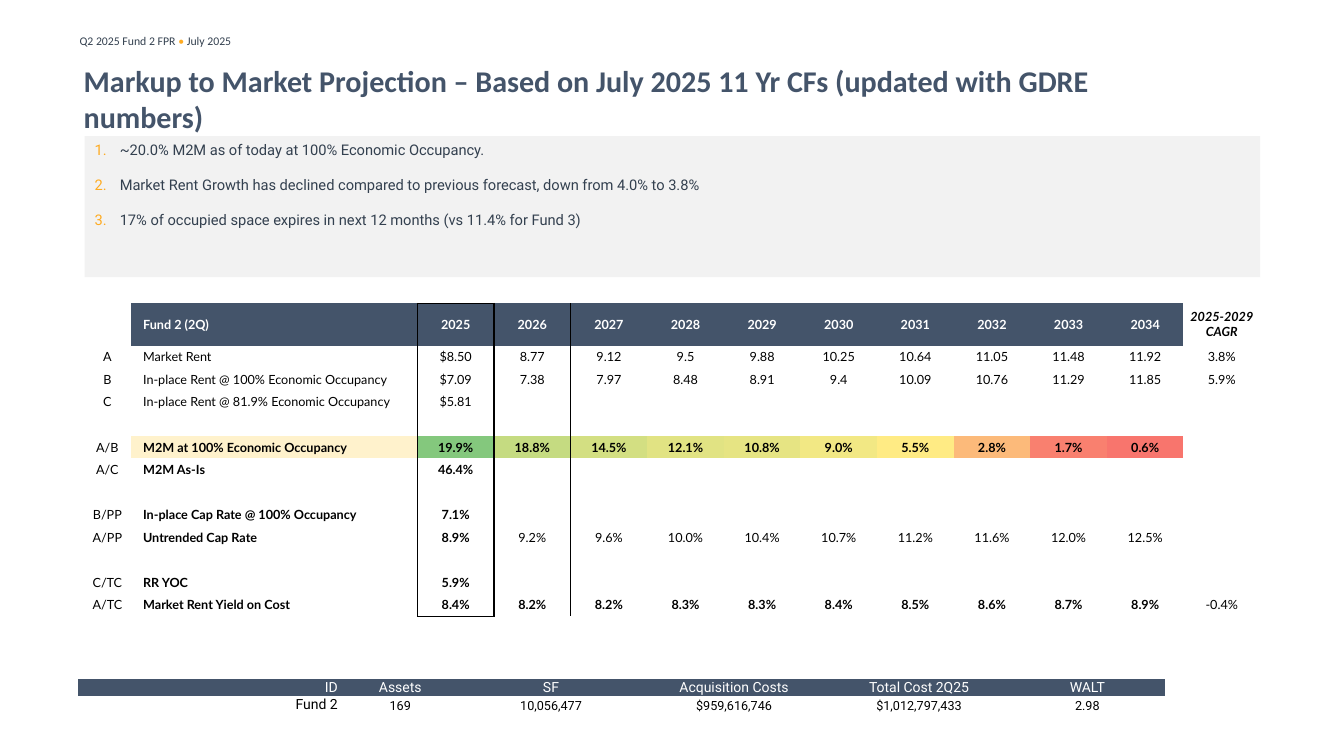
"""Build the Fund 2 markup to market projection slide."""
from dataclasses import dataclass

from lxml import etree
from pptx import Presentation
from pptx.dml.color import RGBColor
from pptx.enum.shapes import MSO_SHAPE
from pptx.enum.text import MSO_ANCHOR, PP_ALIGN
from pptx.oxml.ns import qn
from pptx.util import Inches, Pt

COLORS = {
    "navy": "44546A", "slate": "33404F", "orange": "FFAB21", "number": "FEAB21",
    "panel": "F2F2F2", "cream": "FFF2CC", "white": "FFFFFF", "black": "000000",
}
HEAT = ["84C87D", "C5DB81", "D3DF82", "E1E383", "E6E483",
        "F2E884", "FFEB84", "FCBA7A", "F9806F", "F8756D"]
NO_STYLE = "{2D5ABB26-0587-4C30-8999-92F81FD0307C}"
YEAR_COL = 2


@dataclass
class Style:
    font: str
    size: float
    color: str = "black"
    bold: bool = False
    italic: bool = False
    align: PP_ALIGN = PP_ALIGN.CENTER
    anchor: MSO_ANCHOR = MSO_ANCHOR.MIDDLE


@dataclass
class Row:
    key: str = ""
    label: str = ""
    values: str = ""
    cagr: str = ""
    bold: bool = False
    later_bold: bool = False


ROWS = [
    Row("A", "Market Rent", "$8.50 8.77 9.12 9.5 9.88 10.25 10.64 11.05 11.48 11.92", "3.8%"),
    Row("B", "In-place Rent @ 100% Economic Occupancy",
        "$7.09 7.38 7.97 8.48 8.91 9.4 10.09 10.76 11.29 11.85", "5.9%"),
    Row("C", "In-place Rent @ 81.9% Economic Occupancy", "$5.81"),
    Row(),
    Row("A/B", "M2M at 100% Economic Occupancy",
        "19.9% 18.8% 14.5% 12.1% 10.8% 9.0% 5.5% 2.8% 1.7% 0.6%", "", True, True),
    Row("A/C", "M2M As-Is", "46.4%", "", True),
    Row(),
    Row("B/PP", "In-place Cap Rate @ 100% Occupancy", "7.1%", "", True),
    Row("A/PP", "Untrended Cap Rate",
        "8.9% 9.2% 9.6% 10.0% 10.4% 10.7% 11.2% 11.6% 12.0% 12.5%", "", True),
    Row(),
    Row("C/TC", "RR YOC", "5.9%", "", True),
    Row("A/TC", "Market Rent Yield on Cost",
        "8.4% 8.2% 8.2% 8.3% 8.3% 8.4% 8.5% 8.6% 8.7% 8.9%", "-0.4%", True, True),
    Row(),
]
FINDINGS = [
    "~20.0% M2M as of today at 100% Economic Occupancy.",
    "Market Rent Growth has declined compared to previous forecast, down from 4.0% to 3.8%",
    "17% of occupied space expires in next 12 months (vs 11.4% for Fund 3)",
]
SUMMARY = [
    ["ID", "Assets", "SF", "Acquisition Costs", "Total Cost 2Q25", "WALT"],
    ["Fund 2", "169", "10,056,477", "$959,616,746", "$1,012,797,433", "2.98"],
]


def rgb(name: str) -> RGBColor:
    return RGBColor.from_string(COLORS.get(name, name))


def add_run(p, text: str, st: Style) -> None:
    r = p.add_run()
    r.text = text
    r.font.name, r.font.size = st.font, Pt(st.size)
    r.font.bold, r.font.italic = st.bold, st.italic
    r.font.color.rgb = rgb(st.color)


def add_text(s, box: tuple, inset: tuple, anchor: MSO_ANCHOR, runs: list) -> None:
    sp = s.shapes.add_textbox(*map(Inches, box))
    tf = sp.text_frame
    tf.word_wrap, tf.vertical_anchor = True, anchor
    tf.margin_left = tf.margin_right = Inches(inset[0])
    tf.margin_top = tf.margin_bottom = Inches(inset[1])
    for text, st in runs:
        add_run(tf.paragraphs[0], text, st)


def add_findings(s) -> None:
    sp = s.shapes.add_shape(MSO_SHAPE.RECTANGLE, *map(Inches, (0.84, 1.35, 11.66, 1.4)))
    sp.shadow.inherit = False
    sp.fill.solid()
    sp.fill.fore_color.rgb = rgb("panel")
    sp.line.fill.background()
    tf = sp.text_frame
    tf.word_wrap, tf.vertical_anchor = True, MSO_ANCHOR.TOP
    for i, text in enumerate(FINDINGS):
        p = tf.paragraphs[0] if i == 0 else tf.add_paragraph()
        p.alignment = PP_ALIGN.LEFT
        if i:
            p.space_before = Pt(12.5)
        pPr = p._p.get_or_add_pPr()
        pPr.set("marL", str(Inches(0.25)))
        pPr.set("indent", str(-Inches(0.25)))
        clr = etree.SubElement(pPr, qn("a:buClr"))
        etree.SubElement(clr, qn("a:srgbClr"), val=COLORS["number"])
        etree.SubElement(pPr, qn("a:buFont"), typeface="+mj-lt")
        etree.SubElement(pPr, qn("a:buAutoNum"), type="arabicPeriod")
        add_run(p, text, Style("Roboto", 10.5, "slate"))


def add_grid(s, box: tuple, widths: list[float], heights: list[float]):
    frame = s.shapes.add_table(len(heights), len(widths), *map(Inches, box))
    table = frame.table
    table.first_row = table.horz_banding = False
    table._tbl.tblPr.find(qn("a:tableStyleId")).text = NO_STYLE
    for col, w in zip(table.columns, widths):
        col.width = Inches(w)
    for row, h in zip(table.rows, heights):
        row.height = Inches(h)
    return table


def set_cell(cell, text: str, st: Style, fill: str = "", left: float = 0) -> None:
    cell.margin_left = Inches(left)
    cell.margin_right = cell.margin_top = cell.margin_bottom = 0
    cell.vertical_anchor = st.anchor
    if fill:
        cell.fill.solid()
        cell.fill.fore_color.rgb = rgb(fill)
    else:
        cell.fill.background()
    p = cell.text_frame.paragraphs[0]
    p.alignment = st.align
    if text:
        add_run(p, text, st)
    else:
        etree.SubElement(p._p, qn("a:endParaRPr"), sz=str(int(st.size * 100)))


def set_borders(cell, sides: str) -> None:
    tcPr = cell._tc.get_or_add_tcPr()
    for i, side in enumerate(sides):
        ln = etree.Element(qn(f"a:ln{side}"), w=str(Pt(1)))
        fill = etree.SubElement(ln, qn("a:solidFill"))
        etree.SubElement(fill, qn("a:srgbClr"), val=COLORS["black"])
        tcPr.insert(i, ln)


def add_projection(s) -> None:
    heights = [0.42] + [(3.33 - 0.42) / len(ROWS)] * len(ROWS)
    table = add_grid(s, (0.83, 3.01, 11.66, 3.33), [0.47, 2.84] + [0.76] * 11, heights)
    plain = Style("Lato", 9)
    head = Style("Lato", 9, "white", True)
    set_cell(table.cell(0, 0), "", plain)
    set_cell(table.cell(0, 1), "Fund 2 (2Q)",
             Style("Lato", 9, "white", True, align=PP_ALIGN.LEFT), "navy", 0.12)
    for i in range(10):
        set_cell(table.cell(0, YEAR_COL + i), str(2025 + i), head, "navy")
    set_cell(table.cell(0, 12), "2025-2029 CAGR", Style("Lato", 9, bold=True, italic=True))
    for n, row in enumerate(ROWS, 1):
        hot = row.key == "A/B"
        set_cell(table.cell(n, 0), row.key, plain)
        set_cell(table.cell(n, 1), row.label,
                 Style("Lato", 9, bold=row.bold, align=PP_ALIGN.LEFT),
                 "cream" if hot else "", 0.12)
        values = row.values.split()
        for i, heat in enumerate(HEAT):
            bold = row.later_bold if i else row.bold
            set_cell(table.cell(n, YEAR_COL + i), values[i] if i < len(values) else "",
                     Style("Lato", 9, bold=bold), heat if hot else "")
        set_cell(table.cell(n, 12), row.cagr, plain)
    last = len(ROWS) - 1
    for n in range(last + 1):
        sides = "LR" + ("T" if n == 0 else "") + ("B" if n == last else "")
        set_borders(table.cell(n, YEAR_COL), sides)
        set_borders(table.cell(n, YEAR_COL - 1), "R")
        set_borders(table.cell(n, YEAR_COL + 1), "L")
    set_borders(table.cell(last + 1, YEAR_COL), "T")


def add_summary(s) -> None:
    table = add_grid(s, (0.77, 6.74, 10.78, 0.33),
                     [2.58, 1.24, 1.75, 1.88, 1.79, 1.55], [0.33 / 2] * 2)
    for n, texts in enumerate(SUMMARY):
        for c, text in enumerate(texts):
            st = Style("Roboto", 9 if n and c else 10, "black" if n else "white",
                       align=PP_ALIGN.CENTER if c else PP_ALIGN.RIGHT,
                       anchor=MSO_ANCHOR.BOTTOM)
            set_cell(table.cell(n, c), text, st, "" if n else "navy")


def main() -> None:
    prs = Presentation()
    prs.slide_width, prs.slide_height = Inches(13.33), Inches(7.5)
    s = prs.slides.add_slide(prs.slide_layouts[6])
    small = Style("Calibri", 8.4, "slate")
    add_text(s, (0.69, 0.29, 4.51, 0.24), (0.1, 0.05), MSO_ANCHOR.TOP,
             [("Q2 2025 Fund 2 FPR ", small), ("• ", Style("Calibri", 8.4, "orange")),
              ("July 2025", small)])
    add_text(s, (0.83, 0.6, 11.02, 0.75), (0, 0), MSO_ANCHOR.MIDDLE,
             [("Markup to Market Projection – Based on July 2025 11 Yr CFs "
               "(updated with GDRE numbers)", Style("Calibri", 21.5, "navy", True))])
    add_projection(s)
    add_findings(s)
    add_summary(s)
    prs.save("out.pptx")


if __name__ == "__main__":
    main()
